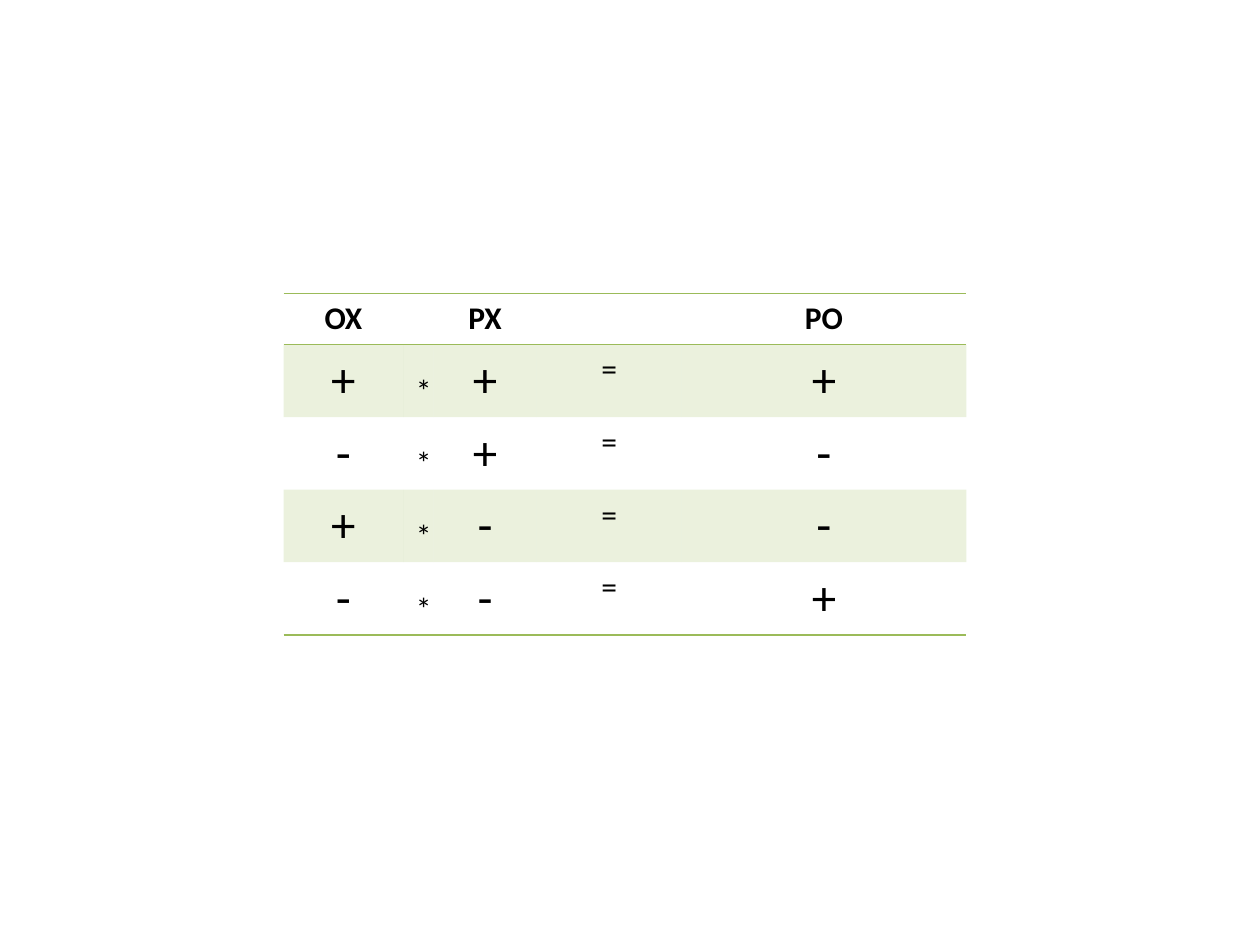
from lxml import etree
from pptx import Presentation
from pptx.dml.color import RGBColor
from pptx.enum.text import MSO_ANCHOR, PP_ALIGN
from pptx.oxml.ns import qn
from pptx.util import Inches, Pt

CENTER = PP_ALIGN.CENTER
TOP, BOTTOM = MSO_ANCHOR.TOP, MSO_ANCHOR.BOTTOM
PLAIN_STYLE = "{2D5ABB26-0587-4C30-8999-92F81FD0307C}"
FONT, BLACK, GREEN = "Calibri", "000000", "9BBB59"
BAND_OPACITY = 20

HEADER = ["OX", "", "PX", "", "PO"]
SIGNS = [("+", "+", "+"), ("-", "+", "-"), ("+", "-", "-"), ("-", "-", "+")]
ROWS = [HEADER] + [[first, "*", second, "=", result] for first, second, result in SIGNS]

LEFT, TABLE_TOP = 2.25, 2.33
COLUMN_WIDTHS = [0.95, 0.23, 0.82, 1.15, 2.26]
ROW_HEIGHTS = [0.4] + [0.57] * len(SIGNS)


def color(hex_string):
    return RGBColor.from_string(hex_string)


def write_text(cell, text, size=18, bold=False, anchor=TOP):
    cell.vertical_anchor = anchor
    paragraph = cell.text_frame.paragraphs[0]
    paragraph.alignment = CENTER
    paragraph.font.size = Pt(size)
    if text:
        run = paragraph.add_run()
        run.text = text
        run.font.name = FONT
        run.font.size = Pt(size)
        run.font.bold = bold
        run.font.color.rgb = color(BLACK)


def add_border(cell, tag):
    properties = cell._tc.get_or_add_tcPr()
    line = etree.SubElement(properties, qn(tag), w=str(Pt(1)))
    fill = etree.SubElement(line, qn("a:solidFill"))
    etree.SubElement(fill, qn("a:srgbClr"), val=GREEN)


def fill_band(cell):
    cell.fill.solid()
    cell.fill.fore_color.rgb = color(GREEN)
    shade = cell._tc.tcPr.find(qn("a:solidFill"))[0]
    etree.SubElement(shade, qn("a:alpha"), val=str(BAND_OPACITY * 1000))


def build_table(slide):
    frame = slide.shapes.add_table(
        len(ROWS), len(HEADER), Inches(LEFT), Inches(TABLE_TOP),
        Inches(sum(COLUMN_WIDTHS)), Inches(sum(ROW_HEIGHTS)))
    table = frame.table
    table.horz_banding = False
    table._tbl.tblPr.find(qn("a:tableStyleId")).text = PLAIN_STYLE
    for column, width in zip(table.columns, COLUMN_WIDTHS):
        column.width = Inches(width)
    for row, height in zip(table.rows, ROW_HEIGHTS):
        row.height = Inches(height)

    for row_index, texts in enumerate(ROWS):
        is_header = row_index == 0
        for column_index, text in enumerate(texts):
            cell = table.cell(row_index, column_index)
            write_text(cell, text, size=28 if text in ("+", "-") else 18,
                       bold=is_header, anchor=BOTTOM if text == "*" else TOP)
            if is_header:
                add_border(cell, "a:lnT")
            if is_header or row_index == len(SIGNS):
                add_border(cell, "a:lnB")
            if row_index % 2:
                fill_band(cell)
            else:
                cell.fill.background()


def main():
    presentation = Presentation()
    presentation.slide_width = Inches(10)
    presentation.slide_height = Inches(7.5)
    slide = presentation.slides.add_slide(presentation.slide_layouts[6])
    build_table(slide)
    presentation.save("out.pptx")


if __name__ == "__main__":
    main()
